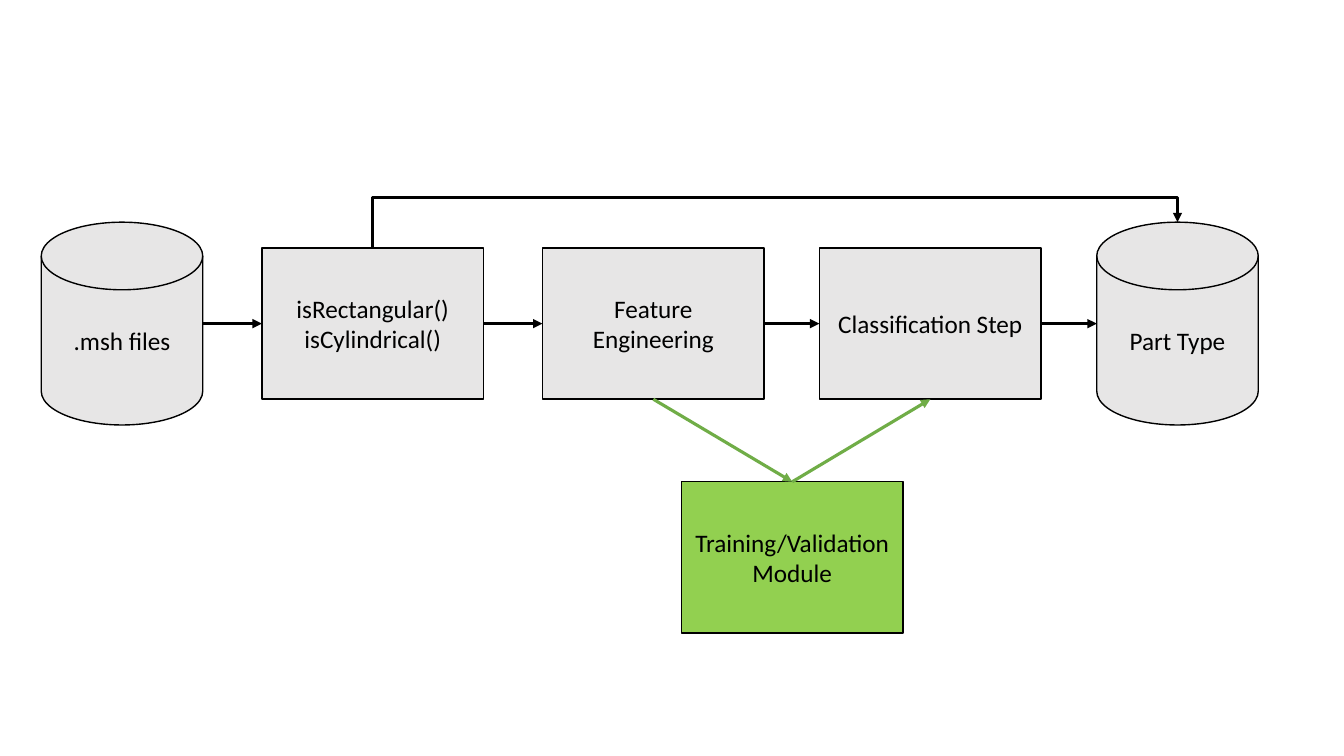
from lxml.etree import SubElement
from pptx import Presentation
from pptx.dml.color import RGBColor
from pptx.enum.shapes import MSO_CONNECTOR, MSO_SHAPE
from pptx.enum.text import MSO_ANCHOR, PP_ALIGN
from pptx.oxml.ns import qn
from pptx.util import Cm, Pt

BLACK = RGBColor(0x00, 0x00, 0x00)
GREY = RGBColor(0xE7, 0xE6, 0xE6)
LIME = RGBColor(0x92, 0xD0, 0x50)
GREEN = RGBColor(0x70, 0xAD, 0x47)

STEP_W, STEP_H, STEP_TOP = 5.59, 3.81, 6.25
STORE_W, STORE_H = 4.07, 5.11
MIDDLE = STEP_TOP + STEP_H / 2
STORE_TOP = MIDDLE - STORE_H / 2
FILES_LEFT, TYPE_LEFT = 1.04, 27.64
CHECKS_LEFT, FEATURES_LEFT, CLASSIFY_LEFT = 6.6, 13.67, 20.65
TRAINING_LEFT, TRAINING_TOP = 17.17, 12.14

presentation = Presentation()
presentation.slide_width = Cm(33.87)
presentation.slide_height = Cm(19.05)
slide = presentation.slides.add_slide(presentation.slide_layouts[6])


def add_stage(kind, text, left, top, width, height, fill):
    stage = slide.shapes.add_shape(kind, Cm(left), Cm(top), Cm(width), Cm(height))
    stage.shadow.inherit = False
    stage.fill.solid()
    stage.fill.fore_color.rgb = fill
    stage.line.color.rgb = BLACK
    stage.line.width = Pt(1)
    frame = stage.text_frame
    frame.word_wrap = True
    frame.vertical_anchor = MSO_ANCHOR.MIDDLE
    frame.text = text
    for paragraph in frame.paragraphs:
        paragraph.alignment = PP_ALIGN.CENTER
        for run in paragraph.runs:
            run.font.name = "Calibri"
            run.font.size = Pt(18)
            run.font.color.rgb = BLACK
    return stage


def add_arrow(kind, start, end, color):
    arrow = slide.shapes.add_connector(
        kind, Cm(start[0]), Cm(start[1]), Cm(end[0]), Cm(end[1])
    )
    arrow.line.color.rgb = color
    arrow.line.width = Pt(2.25)
    SubElement(arrow.line._get_or_add_ln(), qn("a:tailEnd"), type="triangle")
    SubElement(arrow._element.spPr, qn("a:effectLst"))
    return arrow


for text, left in ((".msh files", FILES_LEFT), ("Part Type", TYPE_LEFT)):
    add_stage(MSO_SHAPE.FLOWCHART_MAGNETIC_DISK, text, left, STORE_TOP, STORE_W, STORE_H, GREY)

checks, features, classify, training = [
    add_stage(MSO_SHAPE.RECTANGLE, text, left, top, STEP_W, STEP_H, fill)
    for text, left, top, fill in (
        ("isRectangular()\nisCylindrical()", CHECKS_LEFT, STEP_TOP, GREY),
        ("Feature Engineering", FEATURES_LEFT, STEP_TOP, GREY),
        ("Classification Step", CLASSIFY_LEFT, STEP_TOP, GREY),
        ("Training/Validation Module", TRAINING_LEFT, TRAINING_TOP, LIME),
    )
]

flow = (
    (None, FILES_LEFT + STORE_W, checks, CHECKS_LEFT),
    (checks, CHECKS_LEFT + STEP_W, features, FEATURES_LEFT),
    (features, FEATURES_LEFT + STEP_W, classify, CLASSIFY_LEFT),
    (classify, CLASSIFY_LEFT + STEP_W, None, TYPE_LEFT),
)
for source, start_x, target, end_x in flow:
    arrow = add_arrow(MSO_CONNECTOR.STRAIGHT, (start_x, MIDDLE), (end_x, MIDDLE), BLACK)
    if source:
        arrow.begin_connect(source, 3)
    if target:
        arrow.end_connect(target, 1)

features_bottom = (FEATURES_LEFT + STEP_W / 2, STEP_TOP + STEP_H)
classify_bottom = (CLASSIFY_LEFT + STEP_W / 2, STEP_TOP + STEP_H)
training_top = (TRAINING_LEFT + STEP_W / 2, TRAINING_TOP)

to_training = add_arrow(MSO_CONNECTOR.STRAIGHT, features_bottom, training_top, GREEN)
to_training.begin_connect(features, 2)
to_training.end_connect(training, 0)
from_training = add_arrow(MSO_CONNECTOR.STRAIGHT, training_top, classify_bottom, GREEN)
from_training.begin_connect(training, 0)
from_training.end_connect(classify, 2)

bypass_start = CHECKS_LEFT + STEP_W / 2
bypass_end = TYPE_LEFT + STORE_W / 2
run_length = bypass_end - bypass_start
rise = STEP_TOP - STORE_TOP
clearance = 1.27
center_x = (bypass_start + bypass_end) / 2
center_y = (STEP_TOP + STORE_TOP) / 2
bypass = add_arrow(
    MSO_CONNECTOR.ELBOW,
    (center_x + rise / 2, center_y + run_length / 2),
    (center_x - rise / 2, center_y - run_length / 2),
    BLACK,
)
bypass_properties = bypass._element.spPr
bypass_properties.find(qn("a:xfrm")).set("rot", "5400000")
bend = bypass_properties.find(qn("a:prstGeom")).get_or_add_avLst()
SubElement(bend, qn("a:gd"), name="adj1", fmla=f"val {round(clearance / rise * 100000)}")

presentation.save("out.pptx")
